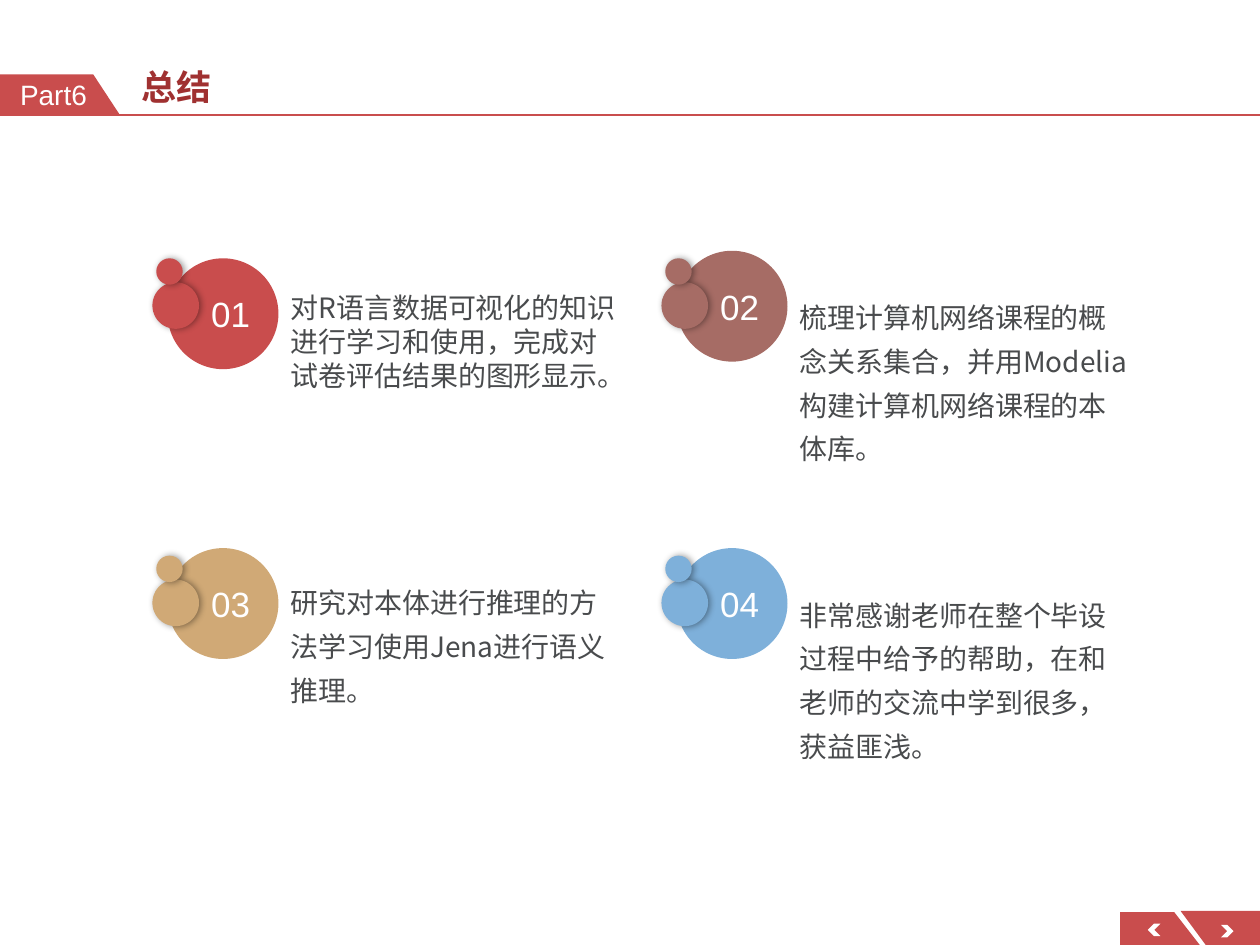
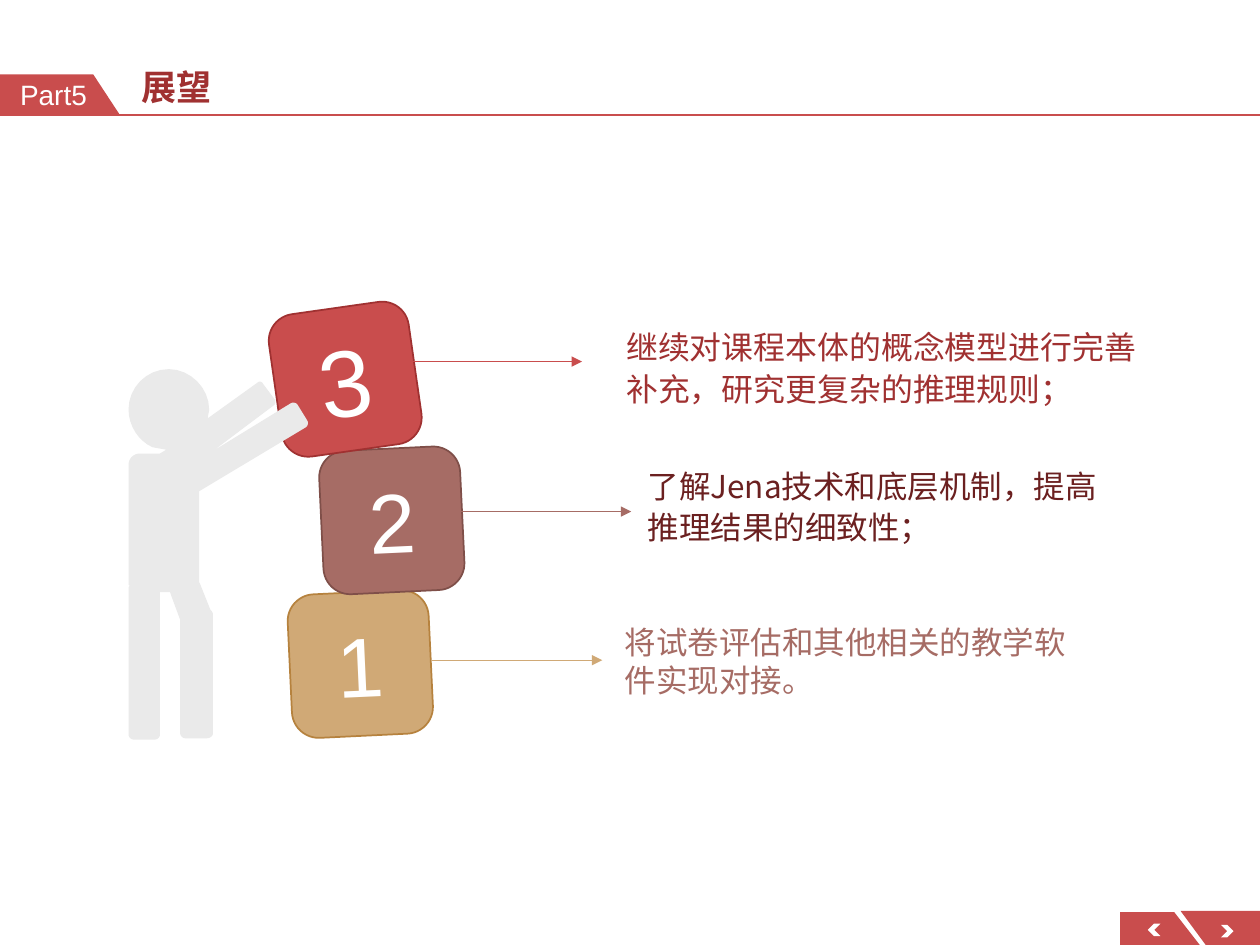
from dataclasses import dataclass

from lxml import etree
from pptx import Presentation
from pptx.dml.color import RGBColor
from pptx.enum.shapes import MSO_CONNECTOR, MSO_SHAPE
from pptx.enum.text import MSO_ANCHOR, MSO_AUTO_SIZE, PP_ALIGN
from pptx.oxml.ns import qn
from pptx.util import Inches, Pt

OVAL = MSO_SHAPE.OVAL
ROUND = MSO_SHAPE.ROUNDED_RECTANGLE
CHEVRON = MSO_SHAPE.CHEVRON
STRAIGHT = MSO_CONNECTOR.STRAIGHT
TOP, MIDDLE, BOTTOM = MSO_ANCHOR.TOP, MSO_ANCHOR.MIDDLE, MSO_ANCHOR.BOTTOM
LEFT, CENTER = PP_ALIGN.LEFT, PP_ALIGN.CENTER
FIXED = MSO_AUTO_SIZE.NONE


@dataclass(frozen=True)
class Theme:
    red: str = "C94D4D"
    deep: str = "A03131"
    wine: str = "6B2020"
    rose: str = "A66C65"
    brown: str = "7F4F49"
    sand: str = "D0A976"
    gold: str = "B6823E"
    blue: str = "7EB0DA"
    gray: str = "494B4D"
    pale: str = "EAEAEA"
    white: str = "FFFFFF"
    black: str = "000000"
    head: str = "Montserrat"
    plain: str = "Arial"
    asian: str = "Noto Sans CJK SC"
    title: float = 20
    badge: float = 20
    label: float = 16
    body: float = 16
    goal: float = 18
    block: float = 48


THEME = Theme()

MAN = [
    (1.34, 2.93), (1.51, 2.93, 1.66, 3.08, 1.66, 3.25),
    (1.66, 3.27, 1.65, 3.29, 1.65, 3.32), (2.04, 3.04),
    (2.06, 3.02, 2.08, 3.03, 2.09, 3.05), (2.18, 3.17),
    (2.19, 3.18, 2.19, 3.21, 2.17, 3.22), (1.69, 3.58), (2.31, 3.2),
    (2.33, 3.19, 2.35, 3.2, 2.36, 3.21), (2.44, 3.34),
    (2.45, 3.36, 2.44, 3.38, 2.43, 3.39), (1.58, 3.9), (1.58, 4.62),
    (1.59, 4.64), (1.67, 4.84), (1.68, 4.85, 1.69, 4.86, 1.69, 4.88),
    (1.69, 5.82), (1.69, 5.84, 1.67, 5.86, 1.64, 5.86), (1.47, 5.86),
    (1.45, 5.86, 1.43, 5.84, 1.43, 5.82), (1.43, 4.92), (1.36, 4.73),
    (1.35, 4.7), (1.27, 4.7), (1.27, 5.83),
    (1.27, 5.85, 1.25, 5.87, 1.23, 5.87), (1.06, 5.87),
    (1.04, 5.87, 1.02, 5.85, 1.02, 5.83), (1.02, 4.66), (1.03, 4.65),
    (1.02, 4.64), (1.02, 3.69), (1.02, 3.64, 1.06, 3.6, 1.11, 3.6),
    (1.27, 3.6), (1.32, 3.57), (1.21, 3.55),
    (1.1, 3.5, 1.02, 3.38, 1.02, 3.25),
    (1.02, 3.08, 1.16, 2.93, 1.34, 2.93),
]


def trace(steps, count=8):
    points = [steps[0]]
    for step in steps[1:]:
        if len(step) == 2:
            points.append(step)
            continue
        knots = [points[-1], step[:2], step[2:4], step[4:]]
        for i in range(1, count + 1):
            t = i / count
            u = 1 - t
            mix = (u ** 3, 3 * u * u * t, 3 * u * t * t, t ** 3)
            points.append(tuple(sum(m * k[axis] for m, k in zip(mix, knots))
                                for axis in (0, 1)))
    return points


class Deck:
    def __init__(self, theme):
        self.theme = theme
        self.file = Presentation()
        self.file.slide_width = Inches(10)
        self.file.slide_height = Inches(7.5)
        self.base = self.file.slide_layouts[1]
        self.slide = None

    def start(self, title, part):
        t = self.theme
        self.slide = self.file.slides.add_slide(self.base)
        if len(self.file.slides) == 1:
            self.frame()
        head, label = self.slide.placeholders
        self.place(head, 1.02, 0.21, 7.59, 0.7)
        self.letter(head, title, t.title, t.deep, t.head, anchor=BOTTOM,
                    space=0.9, bold=True)
        self.place(label, 0, 0.59, 0.85, 0.32)
        para = self.letter(label, part, t.label, t.white, t.plain,
                           anchor=MIDDLE, align=CENTER, inset=(0, 0, 0, 0))
        para.space_before = Pt(18)
        props = para._p.get_or_add_pPr()
        props.set("marL", "0")
        props.set("indent", "0")
        etree.SubElement(props, qn("a:buNone"))

    def frame(self):
        t = self.theme
        self.outline([(0, 0.59), (0.74, 0.59), (0.95, 0.91), (0, 0.91)], t.red)
        self.outline([(8.89, 7.24), (9.32, 7.24), (9.53, 7.51), (8.89, 7.51)],
                     t.red)
        self.outline([(10, 7.5), (9.57, 7.5), (9.37, 7.23), (10, 7.23)], t.red)
        self.shape(CHEVRON, 9.11, 7.33, 0.1, 0.1, t.white).rotation = 180
        self.shape(CHEVRON, 9.69, 7.34, 0.1, 0.1, t.white)
        self.line(0, 0.91, 10, t.red, 1)
        drawn = [s for s in self.slide.shapes if not s.is_placeholder]
        for number, shape in enumerate(drawn, 20):
            shape.element.xpath(".//p:cNvPr")[0].set("id", str(number))
            self.base.shapes.element.append(shape.element)

    def place(self, shape, x, y, w, h):
        shape.left, shape.top = Inches(x), Inches(y)
        shape.width, shape.height = Inches(w), Inches(h)

    def letter(self, shape, text, size, color, font, anchor=TOP, align=LEFT,
               space=None, inset=(0.1, 0.05, 0.1, 0.05), bold=False):
        frame = shape.text_frame
        frame.text = text
        frame.word_wrap = True
        frame.auto_size = FIXED
        frame.vertical_anchor = anchor
        (frame.margin_left, frame.margin_top, frame.margin_right,
         frame.margin_bottom) = map(Inches, inset)
        para = frame.paragraphs[0]
        para.alignment = align
        if space:
            para.line_spacing = space
        run = para.runs[0]
        run.font.size = Pt(size)
        run.font.bold = bold
        run.font.color.rgb = RGBColor.from_string(color)
        run.font.name = font
        props = run._r.get_or_add_rPr()
        etree.SubElement(props, qn("a:ea")).set("typeface", self.theme.asian)
        return para

    def paint(self, shape, fill, edge=None):
        shape.shadow.inherit = False
        shape.fill.solid()
        shape.fill.fore_color.rgb = RGBColor.from_string(fill)
        if edge:
            shape.line.color.rgb = RGBColor.from_string(edge)
            shape.line.width = Pt(1)
        else:
            shape.line.fill.background()
        return shape

    def shape(self, kind, x, y, w, h, fill, edge=None):
        shape = self.slide.shapes.add_shape(
            kind, Inches(x), Inches(y), Inches(w), Inches(h))
        return self.paint(shape, fill, edge)

    def outline(self, points, fill):
        first, *rest = [(Inches(x), Inches(y)) for x, y in points]
        pen = self.slide.shapes.build_freeform(*first)
        pen.add_line_segments(rest, close=True)
        return self.paint(pen.convert_to_shape(), fill)

    def line(self, x, y, length, color, width, arrow=False):
        line = self.slide.shapes.add_connector(
            STRAIGHT, Inches(x), Inches(y), Inches(x + length), Inches(y))
        line.line.color.rgb = RGBColor.from_string(color)
        line.line.width = Pt(width)
        props = line.element.spPr
        if arrow:
            tail = etree.SubElement(props.find(qn("a:ln")), qn("a:tailEnd"))
            tail.set("type", "triangle")
        etree.SubElement(props, qn("a:effectLst"))

    def shade(self, shape):
        effects = shape.element.spPr.find(qn("a:effectLst"))
        cast = etree.SubElement(effects, qn("a:outerShdw"))
        for key, value in (("blurRad", Pt(4)), ("dist", Pt(1)), ("dir", 0)):
            cast.set(key, str(int(value)))
        tint = etree.SubElement(cast, qn("a:srgbClr"))
        tint.set("val", self.theme.black)
        etree.SubElement(tint, qn("a:alpha")).set("val", "40000")

    def text(self, x, y, w, h, words, size, color, **look):
        box = self.slide.shapes.add_textbox(
            Inches(x), Inches(y), Inches(w), Inches(h))
        self.letter(box, words, size, color, self.theme.asian, **look)

    def badge(self, x, y, top, mark, color):
        t = self.theme
        disc = self.shape(OVAL, x + 0.12, top, 0.88, 0.88, color)
        self.letter(disc, mark, t.badge, t.white, t.plain, anchor=MIDDLE,
                    align=CENTER, inset=(0.12, 0, 0, 0))
        self.shade(self.shape(OVAL, x, y + 0.19, 0.37, 0.37, color))
        self.shade(self.shape(OVAL, x + 0.03, y, 0.21, 0.21, color))

    def block(self, x, y, turn, mark, size, fill, edge):
        t = self.theme
        block = self.shape(ROUND, x, y, 1.12, 1.14, fill, edge)
        block.adjustments[0] = 0.19
        block.rotation = turn
        self.letter(block, mark, size, t.white, t.plain, anchor=MIDDLE,
                    align=CENTER)


def summary(deck):
    t = deck.theme
    deck.start("总结", "Part6")
    points = [
        (t.red, 2.05, 2.26, None,
         "对R语言数据可视化的知识进行学习和使用，完成对试卷评估结果的图形显示。"),
        (t.rose, 1.99, 2.26, 1.3,
         "梳理计算机网络课程的概念关系集合，并用Modelia构建计算机网络课程的本体库。"),
        (t.sand, 4.35, 4.52, 1.3,
         "研究对本体进行推理的方法学习使用Jena进行语义推理。"),
        (t.blue, 4.35, 4.62, 1.3,
         "非常感谢老师在整个毕设过程中给予的帮助，在和老师的交流中学到很多，获益匪浅。"),
    ]
    for i, (color, top, text_top, space, words) in enumerate(points):
        row, col = divmod(i, 2)
        x, y = 1.21 + col * 4.04, 2.05 + row * 2.36
        deck.badge(x, y, top, f"{i + 1:02}", color)
        deck.text(x + 1, text_top, 2.85, 1.54, words, t.body, t.gray,
                  space=space)


def outlook(deck):
    t = deck.theme
    deck.start("展望", "Part5")
    blocks = [
        (2.3, 4.7, 357.3, t.block, t.sand, t.gold, 3.43, 5.24),
        (2.55, 3.56, 357.3, t.block, t.rose, t.brown, 3.66, 4.06),
        (2.18, 2.44, 351.9, t.block + 6, t.red, t.deep, 3.27, 2.87),
    ]
    for mark, (x, y, turn, size, fill, edge, tip, level) in enumerate(blocks, 1):
        deck.block(x, y, turn, str(mark), size, fill, edge)
        deck.line(tip, level, 1.35, fill, 0.5, arrow=True)
    deck.outline(trace(MAN), t.pale)
    goals = [
        (4.96, 5, 3.74, 0.49, t.goal, t.rose, MIDDLE, None,
         "将试卷评估和其他相关的教学软件实现对接。"),
        (5.14, 3.76, 3.74, 0.49, t.goal, t.wine, MIDDLE, 1.1,
         "了解Jena技术和底层机制，提高推理结果的细致性；"),
        (4.97, 2.57, 4.09, 0.76, t.goal + 0.2, t.deep, TOP, 1.1,
         "继续对课程本体的概念模型进行完善补充，研究更复杂的推理规则；"),
    ]
    for x, y, w, h, size, color, anchor, space, words in goals:
        deck.text(x, y, w, h, words, size, color, anchor=anchor, space=space,
                  inset=(0, 0, 0, 0))


def main():
    deck = Deck(THEME)
    summary(deck)
    outlook(deck)
    deck.file.save("out.pptx")


if __name__ == "__main__":
    main()
